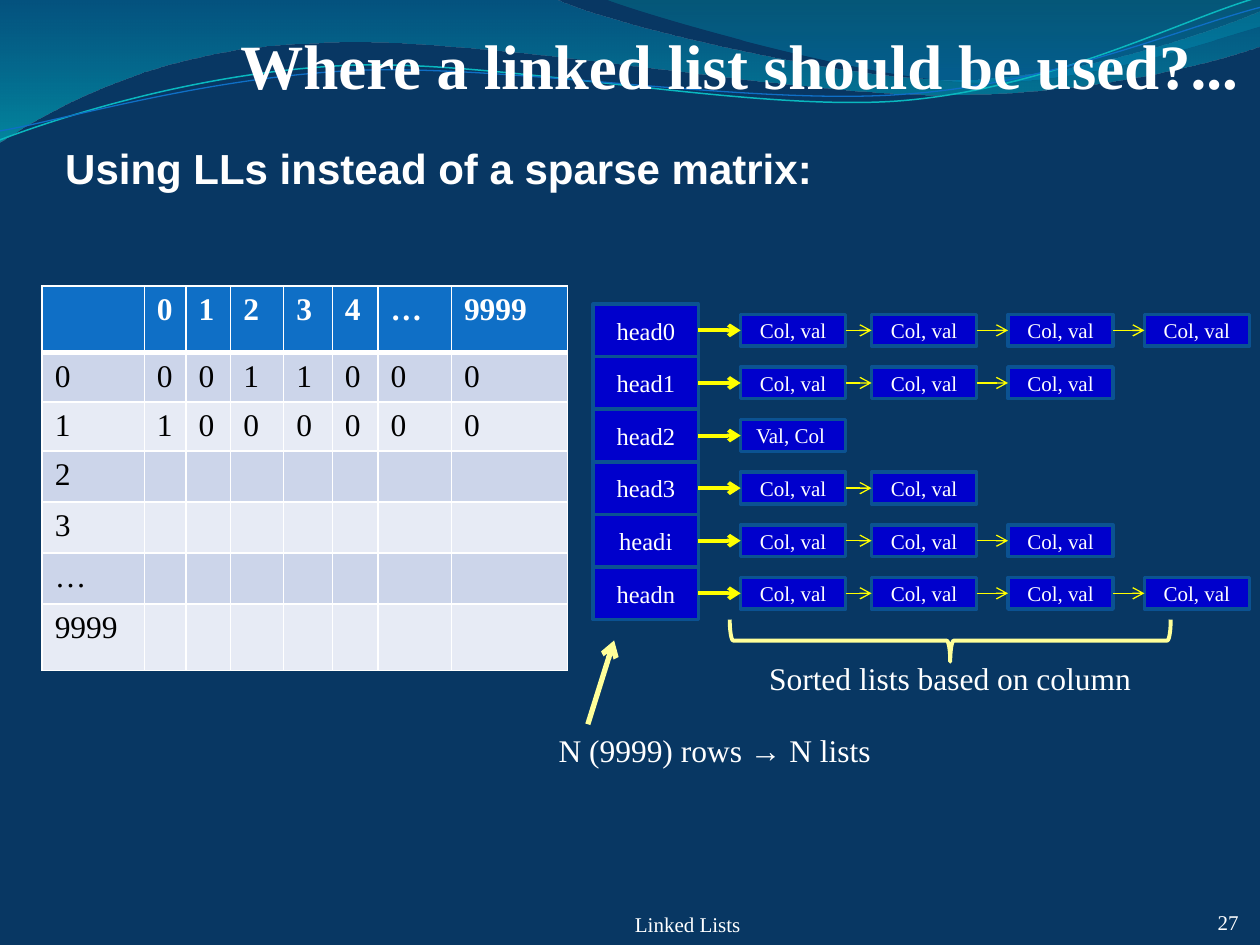
from lxml.etree import SubElement
from pptx import Presentation
from pptx.dml.color import RGBColor
from pptx.enum.shapes import MSO_CONNECTOR, MSO_SHAPE
from pptx.enum.text import MSO_ANCHOR, MSO_AUTO_SIZE, PP_ALIGN
from pptx.oxml.ns import qn
from pptx.util import Cm, Pt

COLORS = {
    "bg": "083763", "white": "FFFFFF", "black": "000000",
    "header": "0F6FC6", "band_dark": "CCD5EA", "band_light": "E7EBF5",
    "box": "0000CC", "box_line": "0B5292", "arrow": "FFFF00", "note": "FFFF99",
    "teal": "0AB8BF", "wave_top": "0074A1", "wave_bottom": "00C6CF",
    "crest_top": "00A1A9", "crest_bottom": "008BBF",
}
SERIF = "Times New Roman"

# Wave outlines in cm: a pair is a straight step, six numbers a Bezier curve
LEFT_WAVE = [(0, 0), (11.18, -0.03), (12.09, 0.43, 16.87, 1.6, 19.25, 1.6),
             (21.67, 1.6, 24.33, 0.66, 25.4, 0.23), (25.43, 0.91),
             (24.97, 1.12, 22.1, 1.93, 18.95, 1.91),
             (15.8, 1.91, 9.7, 0.71, 6.53, 0.86),
             (3.28, 0.91, 1.17, 2.11, -0.03, 2.87), (0, 0)]
RIGHT_WAVE = [(12.17, -0.03), (12.93, 0.28, 17.32, 1.57, 19.53, 1.65),
              (21.74, 1.75, 24.41, 0.81, 25.4, 0.53), (25.4, 0), (12.17, -0.03)]
# The two thin curves are given before their rotation
TEAL_CURVE = [(-0.05, 2.22), (1.19, 1.82, 4.02, 1.04, 7.05, 1.05),
              (10.05, 1.07, 15.02, 2.37, 18.08, 2.29),
              (21.13, 2.2, 23.87, 0.91, 25.41, 0.55)]
BLUE_CURVE = [(-0.04, 2.04), (1.16, 1.9, 4.18, 1.15, 7.2, 1.16),
              (10.25, 1.18, 15.13, 2.25, 18.19, 2.16),
              (21.21, 2.1, 23.94, 1.06, 25.45, 0.75)]

MATRIX = [["", "0", "1", "2", "3", "4", "…", "9999"],
          ["0", "0", "0", "1", "1", "0", "0", "0"],
          ["1", "1", "0", "0", "0", "0", "0", "0"],
          ["2"], ["3"], ["…"], ["9999"]]
COL_WIDTHS = [2.06, 0.84, 0.9, 1.07, 0.98, 0.92, 1.48, 2.34]
ROW_HEIGHTS = [1.34] + [0.99] * 5 + [1.34]

LISTS = [("head0", ["Col, val"] * 4), ("head1", ["Col, val"] * 3),
         ("head2", ["Val, Col "]), ("head3", ["Col, val"] * 2),
         ("headi", ["Col, val"] * 3), ("headn", ["Col, val"] * 4)]
NODE_LEFTS = [14.93, 17.57, 20.32, 23.07]
BOX_W, HEAD_H, NODE_H = 2.12, 1.06, 0.64


def rgb(name):
    return RGBColor.from_string(COLORS[name])


def place(sp, left, top, width, height):
    sp.left, sp.top, sp.width, sp.height = map(Cm, (left, top, width, height))


def style_text(tf, text, size, align=None, color="white", font=SERIF, bold=False):
    p = tf.paragraphs[0]
    p.text = text
    p.alignment = align
    p.font.name, p.font.size, p.font.bold = font, Pt(size), bold
    p.font.color.rgb = rgb(color)
    return p


def add_wave(s, outline, closed):
    points = [(Cm(step[i]), Cm(step[i + 1]))
              for step in outline for i in range(0, len(step), 2)]
    builder = s.shapes.build_freeform(*points[0], scale=1.0)
    builder.add_line_segments(points[1:], close=closed)
    sp = builder.convert_to_shape()
    # Join each three points of a curved step into one Bezier segment
    lines = iter(list(sp._element.iter(qn("a:lnTo"))))
    for step in outline[1:]:
        first = next(lines)
        if len(step) == 6:
            first.tag = qn("a:cubicBezTo")
            for line in (next(lines), next(lines)):
                first.append(line[0])
                line.getparent().remove(line)
    sp.shadow.inherit = False
    # Waves lie behind the placeholders
    s.shapes.title._element.addprevious(sp._element)
    return sp


def add_filled_wave(s, outline, stops):
    sp = add_wave(s, outline, True)
    sp.line.fill.background()
    sp.fill.gradient()
    sp.fill.gradient_angle = 270
    for stop, (position, color, _) in zip(sp.fill.gradient_stops, stops):
        stop.position, stop.color.rgb = position, rgb(color)
    for gs, (_, _, alpha) in zip(sp._element.iter(qn("a:gs")), stops):
        SubElement(gs[0], qn("a:alpha"), val=str(alpha * 1000))


def add_line_wave(s, outline, color, width):
    sp = add_wave(s, outline, False)
    sp.rotation = 357.3
    sp.fill.background()
    sp.line.color.rgb, sp.line.width = rgb(color), Pt(width)


def add_label(s, text, box, size, align=None, footer=False):
    sp = s.shapes.add_textbox(*map(Cm, box))
    tf = sp.text_frame
    tf.word_wrap = True
    if footer:
        tf.vertical_anchor = MSO_ANCHOR.BOTTOM
        tf.margin_left = tf.margin_top = tf.margin_right = tf.margin_bottom = 0
    style_text(tf, text, size, align)


def add_box(s, text, left, top, height, size):
    sp = s.shapes.add_shape(MSO_SHAPE.RECTANGLE, Cm(left), Cm(top), Cm(BOX_W), Cm(height))
    sp.shadow.inherit = False
    sp.fill.solid()
    sp.fill.fore_color.rgb = rgb("box")
    sp.line.color.rgb, sp.line.width = rgb("box_line"), Pt(2)
    sp.text_frame.vertical_anchor = MSO_ANCHOR.MIDDLE
    style_text(sp.text_frame, text, size, PP_ALIGN.CENTER)
    return sp


def add_arrow(s, color, width, ends=(0, 0, 0, 0)):
    line = s.shapes.add_connector(MSO_CONNECTOR.STRAIGHT, *map(Cm, ends))
    line.line.color.rgb, line.line.width = rgb(color), Pt(width)
    SubElement(line.line._get_or_add_ln(), qn("a:tailEnd"), type="arrow")
    SubElement(line._element.spPr, qn("a:effectLst"))
    return line


def add_list(s, row, head, nodes):
    top = 6.13 + row * HEAD_H
    previous = add_box(s, head, 11.96, top, HEAD_H, 14)
    for i, (text, left) in enumerate(zip(nodes, NODE_LEFTS)):
        node = add_box(s, text, left, top + (HEAD_H - NODE_H) / 2, NODE_H, 12)
        link = add_arrow(s, "arrow", 0.75 if i else 2.25)
        link.begin_connect(previous, 3)
        link.end_connect(node, 1)
        previous = node


def add_border(cell, side, width):
    ln = SubElement(cell._tc.get_or_add_tcPr(), qn("a:" + side), w=str(Pt(width)))
    SubElement(SubElement(ln, qn("a:solidFill")), qn("a:srgbClr"), val=COLORS["white"])


def add_matrix(s):
    table = s.shapes.add_table(len(MATRIX), len(COL_WIDTHS), Cm(0.85), Cm(5.77),
                               Cm(sum(COL_WIDTHS)), Cm(sum(ROW_HEIGHTS))).table
    for col, width in zip(table.columns, COL_WIDTHS):
        col.width = Cm(width)
    for r, (values, height) in enumerate(zip(MATRIX, ROW_HEIGHTS)):
        table.rows[r].height = Cm(height)
        for c in range(len(COL_WIDTHS)):
            cell = table.cell(r, c)
            for side in ("lnL", "lnR", "lnT", "lnB"):
                add_border(cell, side, 3 if (r, side) in ((0, "lnB"), (1, "lnT")) else 1)
            cell.fill.solid()
            band = "band_dark" if r % 2 else "band_light"
            cell.fill.fore_color.rgb = rgb(band if r else "header")
            if c < len(values) and values[c]:
                style_text(cell.text_frame, values[c], 18,
                           color="black" if r else "white", bold=r == 0)


def fill_placeholders(s):
    title, body = s.shapes.title, s.placeholders[1]
    place(title, 1.27, 0.2, 23.7, 1.85)
    tf = title.text_frame
    tf.auto_size = MSO_AUTO_SIZE.NONE
    tf.vertical_anchor = MSO_ANCHOR.BOTTOM
    tf.margin_left = tf.margin_right = tf.margin_bottom = 0
    style_text(tf, "Where a linked list should be used?...", 36, PP_ALIGN.RIGHT, bold=True)

    place(body, 1.06, 2.74, 22.86, 1.7)
    body.text_frame.auto_size = MSO_AUTO_SIZE.NONE
    p = style_text(body.text_frame, "Using LLs instead of a sparse matrix:", 24,
                   font="Arial", bold=True)
    pPr = p._p.get_or_add_pPr()
    pPr.set("marL", str(Cm(0.95)))
    pPr.set("indent", str(-Cm(0.95)))
    pPr.insert_element_before(pPr.makeelement(qn("a:buNone")), "a:tabLst", "a:defRPr", "a:extLst")


def main():
    prs = Presentation()
    prs.slide_width, prs.slide_height = Cm(25.4), Cm(19.05)
    s = prs.slides.add_slide(prs.slide_layouts[1])
    s.background.fill.solid()
    s.background.fill.fore_color.rgb = rgb("bg")

    # Waves across the top
    add_filled_wave(s, LEFT_WAVE, [(0, "wave_top", 45), (1, "wave_bottom", 55)])
    add_filled_wave(s, RIGHT_WAVE, [(0, "crest_top", 30), (0.8, "crest_bottom", 45)])
    add_line_wave(s, TEAL_CURVE, "teal", 0.85)
    add_line_wave(s, BLUE_CURVE, "header", 0.75)

    fill_placeholders(s)
    add_matrix(s)

    # Linked lists, one per matrix row
    for row, (head, nodes) in enumerate(LISTS):
        add_list(s, row, head, nodes)

    # Explanations
    add_label(s, "N (9999) rows → N lists", (11.01, 14.61, 7.62, 1.02), 18)
    add_arrow(s, "note", 3, (11.85, 14.6, 12.38, 12.91))
    add_label(s, "Sorted lists based on column", (14.92, 13.16, 8.47, 1.02), 18, PP_ALIGN.CENTER)
    brace = s.shapes.add_shape(MSO_SHAPE.RIGHT_BRACE, Cm(18.73), Cm(8.47), Cm(0.85), Cm(8.89))
    brace.rotation = 90
    brace.shadow.inherit = False
    brace.fill.background()
    brace.line.color.rgb, brace.line.width = rgb("note"), Pt(2.25)

    # Footer
    add_label(s, "27", (23.5, 18.2, 1.47, 0.64), 12, PP_ALIGN.RIGHT, footer=True)
    add_label(s, "Linked Lists", (9.95, 18.2, 7.83, 0.69), 12, PP_ALIGN.CENTER, footer=True)
    prs.save("out.pptx")


if __name__ == "__main__":
    main()
